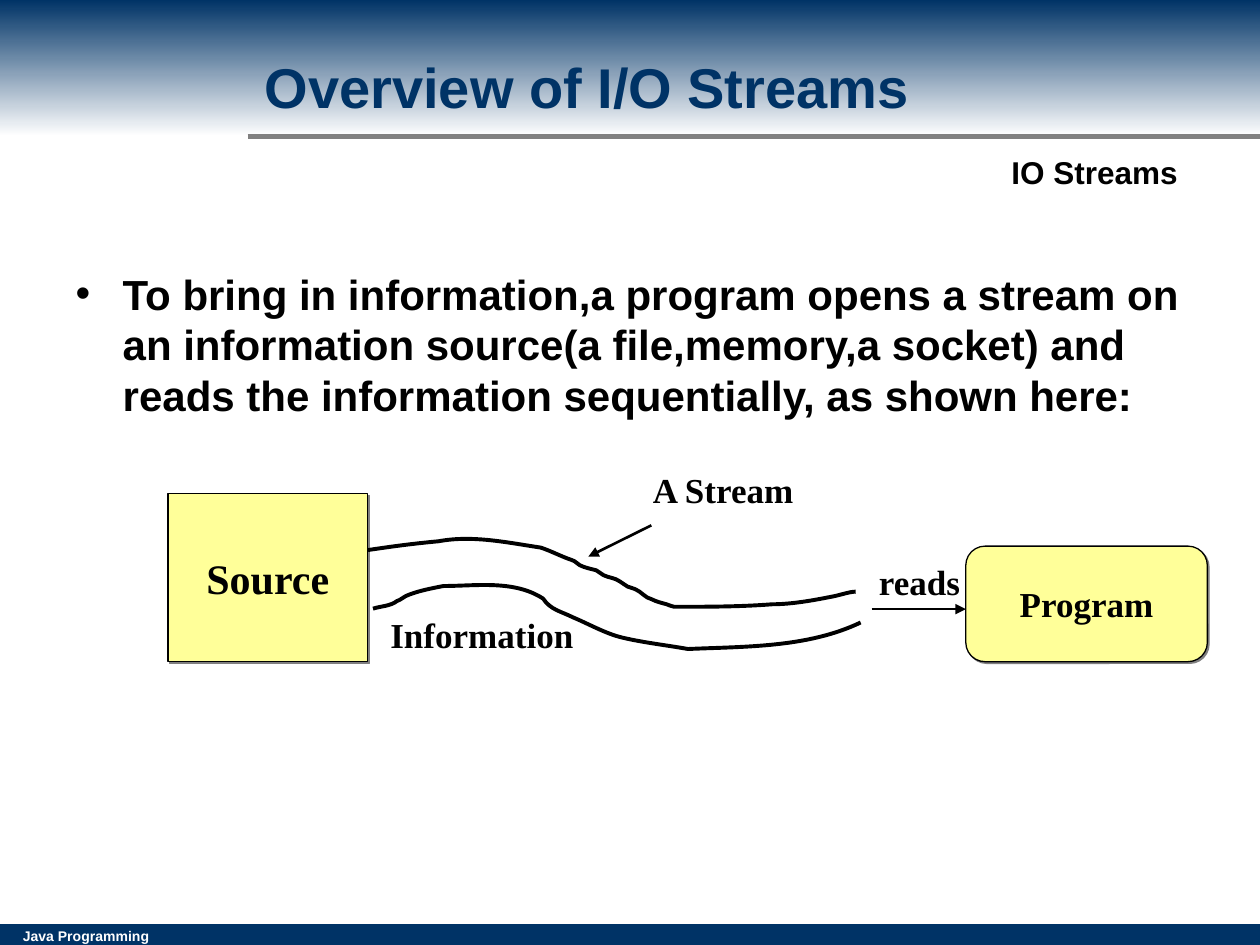
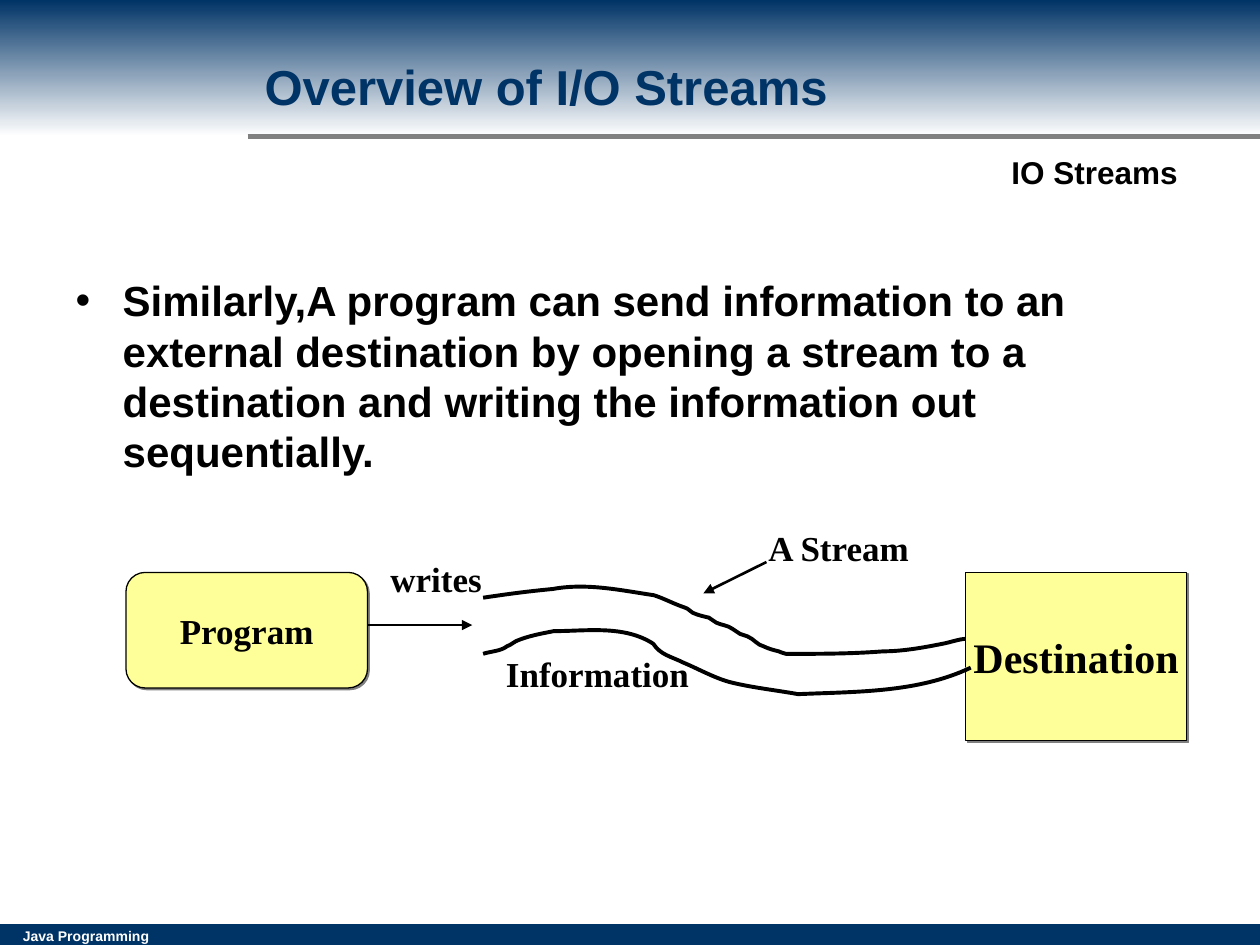
from lxml.etree import SubElement
from pptx import Presentation
from pptx.dml.color import RGBColor
from pptx.enum.shapes import MSO_CONNECTOR, MSO_SHAPE
from pptx.enum.text import MSO_ANCHOR, MSO_AUTO_SIZE, PP_ALIGN
from pptx.oxml.ns import qn
from pptx.util import Cm, Pt

RECT = MSO_SHAPE.RECTANGLE
ROUNDED = MSO_SHAPE.FLOWCHART_ALTERNATE_PROCESS
STRAIGHT = MSO_CONNECTOR.STRAIGHT
MIDDLE, TOP = MSO_ANCHOR.MIDDLE, MSO_ANCHOR.TOP
CENTER, LEFT = PP_ALIGN.CENTER, PP_ALIGN.LEFT
NO_FIT = MSO_AUTO_SIZE.NONE

COLORS = {"navy": "003366", "white": "FFFFFF", "gray": "808080",
          "black": "000000", "yellow": "FFFF99"}
SANS, SERIF = "Arial", "Times New Roman"
SLIDE_W, SLIDE_H = 25.4, 19.05
BAND_H = 2.75
FOOTER_H = 0.42
PROGRAM_SIZE = (4.87, 2.33)
EDGE_UNITS = 387
EDGE_W = 9.83

UPPER_EDGE = [
    (20, -3, 35, -5, 56, -7), (83, -12, 110, -6, 137, -2),
    (146, 1, 153, 5, 162, 8), (165, 9, 166, 11, 168, 12),
    (172, 14, 177, 15, 181, 16), (183, 17, 185, 19, 187, 20),
    (191, 22, 196, 22, 200, 25), (202, 26, 204, 28, 206, 29),
    (208, 30, 210, 30, 212, 31), (217, 33, 220, 38, 225, 39),
    (229, 41, 233, 42, 237, 43), (239, 44, 243, 45, 243, 45),
    (269, 45, 295, 45, 321, 43), (336, 43, 353, 40, 368, 37),
    (374, 36, 382, 33, 387, 33),
]
LOWER_EDGE = [
    (6, -2, 14, -2, 19, -6), (22, -7, 24, -9, 26, -10),
    (35, -14, 46, -16, 56, -18), (82, -18, 112, -23, 135, -8),
    (141, 1, 149, 2, 159, 7), (171, 12, 185, 20, 198, 23),
    (215, 27, 233, 29, 250, 32), (296, 30, 345, 31, 387, 11),
]


def rgb(name):
    return RGBColor.from_string(COLORS[name])


def write(tf, text, size, font, color="black", align=LEFT, anchor=TOP, wrap=True):
    tf.word_wrap = wrap
    tf.auto_size = NO_FIT
    tf.vertical_anchor = anchor
    p = tf.paragraphs[0]
    p.alignment = align
    p.space_before = Pt(0)
    r = p.add_run()
    r.text = text
    r.font.size = Pt(size)
    r.font.name = font
    r.font.bold = True
    r.font.color.rgb = rgb(color)
    return p


def place(sp, x, y, w, h):
    sp.left, sp.top, sp.width, sp.height = Cm(x), Cm(y), Cm(w), Cm(h)


def add_label(s, text, x, y, w, h=1.12, size=20, font=SERIF, color="black", wrap=True):
    sp = s.shapes.add_textbox(Cm(x), Cm(y), Cm(w), Cm(h))
    write(sp.text_frame, text, size, font, color, wrap=wrap)
    return sp


def add_line(s, start, end, color="black", width=1.5, arrow=True):
    line = s.shapes.add_connector(STRAIGHT, *map(Cm, start + end))
    line.line.color.rgb = rgb(color)
    line.line.width = Pt(width)
    sp_pr = line.element.spPr
    if arrow:
        SubElement(sp_pr.find(qn("a:ln")), qn("a:tailEnd"), type="triangle")
    SubElement(sp_pr, qn("a:effectLst"))
    return line


def add_band(s, y, h):
    sp = s.shapes.add_shape(RECT, 0, Cm(y), Cm(SLIDE_W), Cm(h))
    sp.shadow.inherit = False
    sp.line.fill.background()
    return sp


def add_node(s, kind, text, x, y, w, h, size):
    sp = s.shapes.add_shape(kind, Cm(x), Cm(y), Cm(w), Cm(h))
    sp.fill.solid()
    sp.fill.fore_color.rgb = rgb("yellow")
    sp.line.color.rgb = rgb("black")
    sp.line.width = Pt(0.75)
    sp.shadow.inherit = False
    effects = sp.element.spPr.find(qn("a:effectLst"))
    shadow = SubElement(effects, qn("a:outerShdw"), dist=str(Pt(1.4)),
                        dir="2700000", algn="ctr", rotWithShape="0")
    SubElement(shadow, qn("a:srgbClr"), val=COLORS["gray"])
    write(sp.text_frame, text, size, SERIF, align=CENTER, anchor=MIDDLE, wrap=False)


def bend_segments(sp):
    outline = sp.element.xpath(".//a:pathLst/*")[0]
    segments = outline.findall(qn("a:lnTo"))
    for i in range(0, len(segments), 3):
        curve = SubElement(outline, qn("a:cubicBezTo"))
        for segment in segments[i:i + 3]:
            curve.append(segment[0])
            outline.remove(segment)


def add_edge(s, curves, x, y, w=EDGE_W, filled=False):
    builder = s.shapes.build_freeform(0, 0, scale=Cm(w) / EDGE_UNITS)
    builder.add_line_segments([curve[i:i + 2] for curve in curves for i in (0, 2, 4)],
                              close=False)
    sp = builder.convert_to_shape(Cm(x), Cm(y))
    bend_segments(sp)
    sp.shadow.inherit = False
    if filled:
        sp.fill.solid()
        sp.fill.fore_color.rgb = rgb("white")
    else:
        sp.fill.background()
    sp.line.color.rgb = rgb("black")
    sp.line.width = Pt(2.25)


def add_shared_parts(s, layout):
    for holder in list(layout.placeholders)[2:]:
        layout.shapes.element.remove(holder.element)
    footer = add_band(s, SLIDE_H - FOOTER_H, FOOTER_H)
    footer.fill.solid()
    footer.fill.fore_color.rgb = rgb("navy")
    course = add_label(s, "Java Programming", 0.21, 18.57, 3.2, 0.61, 8, SANS, "white")
    header = add_band(s, 0, BAND_H)
    header.fill.gradient()
    header.fill.gradient_angle = 270
    for stop, color in zip(header.fill.gradient_stops, ("navy", "white")):
        stop.color.rgb = rgb(color)
    rule = add_line(s, (4.99, BAND_H), (SLIDE_W, BAND_H), "gray", 3, arrow=False)
    topic = add_label(s, "IO Streams", 20.14, 2.96, 3.86, 1.02, 18, SANS, wrap=False)
    for i, sp in enumerate((footer, course, header, rule, topic)):
        sp.element.xpath(".//p:cNvPr")[0].set("id", str(100 + i))
        layout.shapes.element.insert(2 + i, sp.element)


def add_text(s, title_size, body_y, body):
    title = s.shapes.title
    place(title, 5.08, 0.47, 19.05, 2.54)
    write(title.text_frame, "Overview of I/O Streams", title_size, SANS, "navy",
          anchor=MIDDLE)
    sp = s.placeholders[1]
    place(sp, 1.27, body_y, 22.86, 12.57)
    p = write(sp.text_frame, body, 24, SANS)
    p_pr = p._p.get_or_add_pPr()
    p_pr.set("marL", str(Cm(0.95)))
    p_pr.set("indent", str(Cm(-0.95)))
    color = SubElement(p_pr, qn("a:buClr"))
    SubElement(color, qn("a:srgbClr"), val=COLORS["black"])
    SubElement(p_pr, qn("a:buFont"), typeface=SANS)
    SubElement(p_pr, qn("a:buChar"), char="•")


def add_reading_diagram(s, x, y):
    add_node(s, RECT, "Source", x, y + 0.63, 4.02, 3.39, 24)
    add_node(s, ROUNDED, "Program", x + 16.08, y + 1.69, *PROGRAM_SIZE, 20)
    add_edge(s, LOWER_EDGE, x + 4.13, y + 2.95, filled=True)
    add_edge(s, UPPER_EDGE, x + 4.03, y + 1.77)
    add_label(s, "Information", x + 4.23, y + 2.92, 8.69)
    add_line(s, (x + 9.74, y + 1.27), (x + 8.47, y + 1.9))
    add_label(s, "A Stream", x + 9.52, y, 3.81)
    add_label(s, "reads", x + 14.08, y + 1.85, 2.54)
    add_line(s, (x + 14.18, y + 2.96), (x + 16.08, y + 2.96))


def add_writing_diagram(s, x, y):
    add_node(s, RECT, "Destination", x + 16.93, y + 1.05, 4.45, 3.39, 24)
    add_node(s, ROUNDED, "Program", x, y + 1.05, *PROGRAM_SIZE, 20)
    add_edge(s, LOWER_EDGE, x + 7.2, y + 2.69, filled=True)
    add_edge(s, UPPER_EDGE, x + 7.2, y + 1.56, 9.73)
    add_label(s, "Information", x + 7.41, y + 2.54, 8.69)
    add_line(s, (x + 12.91, y + 0.84), (x + 11.64, y + 1.47))
    add_label(s, "A Stream", x + 12.7, y, 3.81)
    add_label(s, "writes", x + 5.08, y + 0.62, 2.54)
    add_line(s, (x + 4.87, y + 2.11), (x + 6.98, y + 2.11))


def main():
    prs = Presentation()
    prs.slide_width, prs.slide_height = Cm(SLIDE_W), Cm(SLIDE_H)
    layout = prs.slide_layouts[1]

    reading = prs.slides.add_slide(layout)
    add_shared_parts(reading, layout)
    add_text(reading, 32, 5.28,
             "To bring in information,a program opens a stream on an information "
             "source(a file,memory,a socket) and reads the information "
             "sequentially, as shown here:")
    add_reading_diagram(reading, 3.39, 9.32)

    writing = prs.slides.add_slide(layout)
    add_text(writing, 28, 5.41,
             "Similarly,A program can send information to an external destination "
             "by opening a stream to a destination and writing the information out "
             "sequentially.")
    add_writing_diagram(writing, 2.54, 10.49)

    prs.save("out.pptx")


if __name__ == "__main__":
    main()
